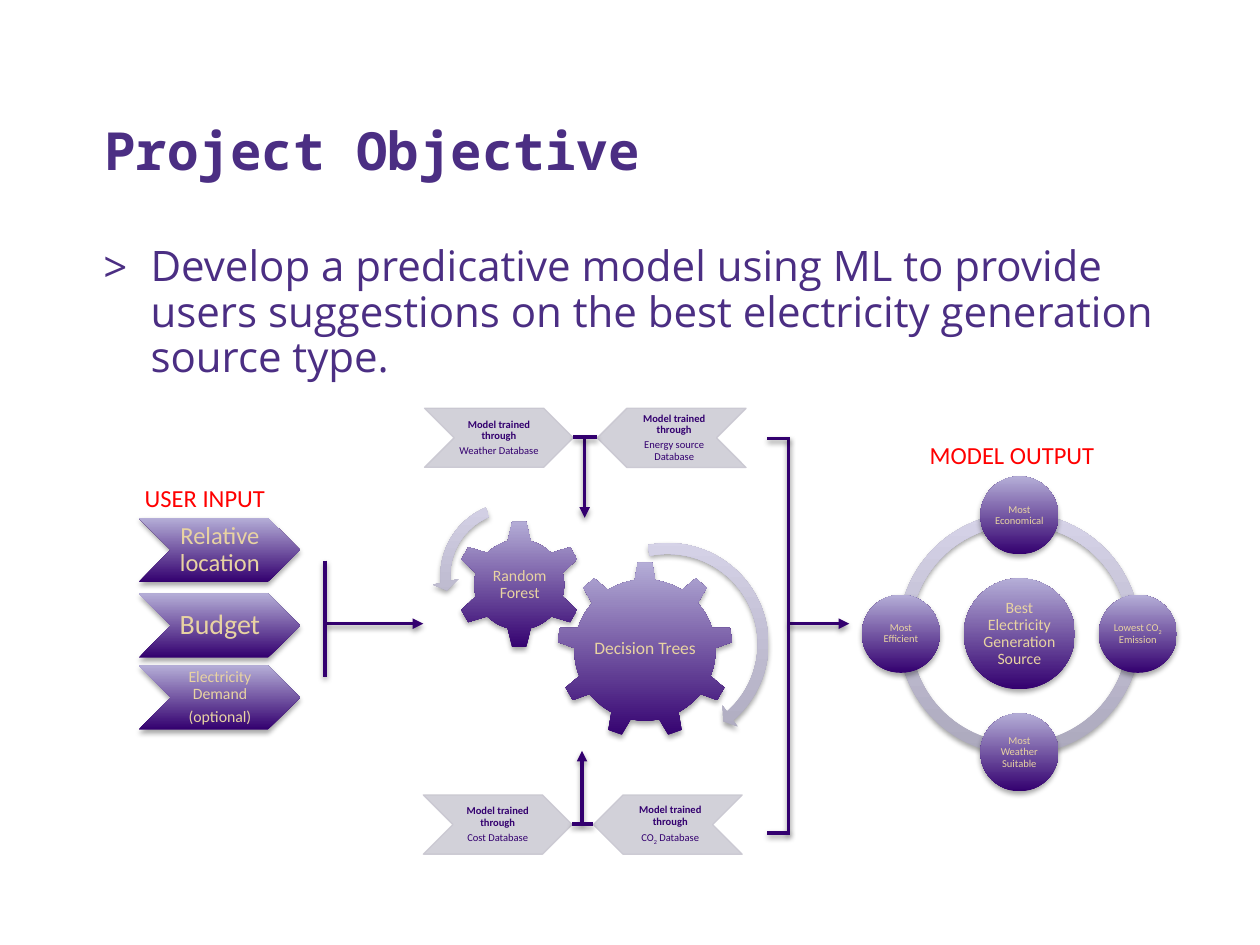
from dataclasses import dataclass
from typing import NamedTuple

from lxml.etree import SubElement
from pptx import Presentation
from pptx.dml.color import RGBColor
from pptx.enum.shapes import MSO_CONNECTOR, MSO_SHAPE
from pptx.enum.text import MSO_ANCHOR, MSO_AUTO_SIZE, PP_ALIGN
from pptx.oxml.ns import qn
from pptx.util import Pt


@dataclass(frozen=True)
class Theme:
    heading: str = "4B2E83"
    deep: str = "33006F"
    lilac: str = "B5AED7"
    gold: str = "E8D3A2"
    arc_dark: str = "ACA9BD"
    arc_light: str = "D6D3E8"
    database_fill: str = "CECCD5"
    database_line: str = "C9C7D1"
    caption: str = "FF0000"
    title_font: str = "Noto Sans Mono"
    body_font: str = "Open Sans"
    diagram_font: str = "Calibri"
    title_size: int = 30
    body_size: int = 24
    large: int = 16
    medium: int = 14
    normal: int = 10
    small: int = 9
    tiny: int = 6


class Box(NamedTuple):
    left: float
    top: float
    width: float
    height: float


class Piece(NamedTuple):
    text: str
    bold: bool = False
    subscript: bool = False


class Line(NamedTuple):
    x1: float
    y1: float
    x2: float
    y2: float
    arrow: bool = False


class InputStep(NamedTuple):
    top: float
    size: int
    paragraphs: list


class Database(NamedTuple):
    left: float
    top: float
    flipped: bool
    name: list


class Outcome(NamedTuple):
    column: int
    row: int
    pieces: list


THEME = Theme()
MAIN = (THEME.deep, THEME.lilac)
PALE = (THEME.arc_dark, THEME.arc_light)


def points(box: Box) -> list:
    return [Pt(value) for value in box]


def centred(x: float, y: float, side: float) -> Box:
    return Box(x - side / 2, y - side / 2, side, side)


def style_run(run, font: str, size: float, color: str, bold: bool = False) -> None:
    run.font.name = font
    run.font.size = Pt(size)
    run.font.bold = bold
    run.font.color.rgb = RGBColor.from_string(color)


def add_shadow(element, opacity: int) -> None:
    effects = SubElement(element.spPr, qn("a:effectLst"))
    shadow = SubElement(effects, qn("a:outerShdw"), blurRad=str(Pt(3.1)),
                        dist=str(Pt(1.8)), dir="5400000", rotWithShape="0")
    color = SubElement(shadow, qn("a:srgbClr"), val="000000")
    SubElement(color, qn("a:alpha"), val=str(opacity * 1000))


def add_gradient_shape(slide, kind, box: Box, colors: tuple, adjustments: tuple = ()) -> None:
    shape = slide.shapes.add_shape(kind, *points(box))
    for index, value in enumerate(adjustments):
        shape.adjustments[index] = value
    shape.fill.gradient()
    shape.fill.gradient_angle = 90
    for stop, color in zip(shape.fill.gradient_stops, colors):
        stop.color.rgb = RGBColor.from_string(color)
    shape.line.fill.background()
    add_shadow(shape.element, 35)


def add_label(slide, box: Box, paragraphs: list, size: int, color: str = THEME.gold) -> None:
    frame = slide.shapes.add_textbox(*points(box)).text_frame
    frame.word_wrap = True
    frame.vertical_anchor = MSO_ANCHOR.MIDDLE
    frame.margin_left = frame.margin_right = Pt(0.7)
    frame.margin_top = frame.margin_bottom = Pt(0.7)
    for index, pieces in enumerate(paragraphs):
        paragraph = frame.add_paragraph() if index else frame.paragraphs[0]
        paragraph.alignment = PP_ALIGN.CENTER
        paragraph.line_spacing = 0.9
        paragraph.space_after = Pt(0.35 * size)
        for piece in pieces:
            for part, text in enumerate(piece.text.split("\n")):
                if part:
                    paragraph.add_line_break()
                run = paragraph.add_run()
                run.text = text
                style_run(run, THEME.diagram_font, size, color, piece.bold)
                if piece.subscript:
                    run.font._element.set("baseline", "-25000")


def add_caption(slide, box: Box, text: str) -> None:
    frame = slide.shapes.add_textbox(*points(box)).text_frame
    frame.word_wrap = True
    run = frame.paragraphs[0].add_run()
    run.text = text
    style_run(run, THEME.diagram_font, THEME.medium, THEME.caption)


def add_line(slide, line: Line) -> None:
    connector = slide.shapes.add_connector(
        MSO_CONNECTOR.STRAIGHT, Pt(line.x1), Pt(line.y1), Pt(line.x2), Pt(line.y2))
    connector.line.color.rgb = RGBColor.from_string(THEME.deep)
    connector.line.width = Pt(2)
    if line.arrow:
        SubElement(connector.line._get_or_add_ln(), qn("a:tailEnd"), type="triangle")
    add_shadow(connector._element, 38)


def add_database(slide, database: Database) -> None:
    box = Box(database.left, database.top, 85, 33.8)
    shape = slide.shapes.add_shape(MSO_SHAPE.CHEVRON, *points(box))
    shape.rotation = 180 if database.flipped else 0
    shape.fill.solid()
    shape.fill.fore_color.rgb = RGBColor.from_string(THEME.database_fill)
    shape.line.color.rgb = RGBColor.from_string(THEME.database_line)
    shape.line.width = Pt(0.75)
    for color in shape.element.spPr.iter(qn("a:srgbClr")):
        SubElement(color, qn("a:alpha"), val="90000")
    shape.shadow.inherit = False
    offset, width = (19.4, 49) if database.flipped else (17, 51)
    add_label(slide, Box(box.left + offset, box.top, width, box.height),
              [[Piece("Model trained through", bold=True)], database.name],
              THEME.tiny, THEME.deep)


def add_heading(slide) -> None:
    # Title
    title = slide.shapes.title
    title.left, title.top, title.width, title.height = points(Box(52.5, 29.5, 644.5, 77.8))
    frame = title.text_frame
    frame.auto_size = MSO_AUTO_SIZE.NONE
    frame.vertical_anchor = MSO_ANCHOR.BOTTOM
    paragraph = frame.paragraphs[0]
    paragraph.alignment = PP_ALIGN.LEFT
    paragraph.line_spacing = 0.9
    run = paragraph.add_run()
    run.text = "Project Objective"
    style_run(run, THEME.title_font, THEME.title_size, THEME.heading, True)

    # Objective with its bullet
    frame = slide.shapes.add_textbox(*points(Box(52, 136.8, 645, 316))).text_frame
    frame.word_wrap = True
    paragraph = frame.paragraphs[0]
    paragraph.line_spacing = 0.9
    properties = paragraph._p.get_or_add_pPr()
    properties.set("marL", str(Pt(27)))
    properties.set("indent", str(Pt(-27)))
    SubElement(properties, qn("a:buFont"), typeface=THEME.body_font)
    SubElement(properties, qn("a:buChar"), char=">")
    run = paragraph.add_run()
    run.text = ("Develop a predicative model using ML to provide users suggestions "
                "on the best electricity generation source type.")
    style_run(run, THEME.body_font, THEME.body_size, THEME.heading)


def add_inputs(slide) -> None:
    steps = [
        InputStep(295.9, THEME.medium, [[Piece("Relative location")]]),
        InputStep(339.1, THEME.large, [[Piece("Budget")]]),
        InputStep(380.2, THEME.small, [[Piece("Electricity Demand")], [Piece("(optional)")]]),
    ]
    for step in steps:
        add_gradient_shape(slide, MSO_SHAPE.CHEVRON, Box(79.2, step.top, 92.2, 36.7), MAIN)
        add_label(slide, Box(98, step.top, 55.4, 36.7), step.paragraphs, step.size)


def add_gears(slide) -> None:
    add_gradient_shape(slide, MSO_SHAPE.GEAR_9, Box(318.2, 321.1, 100.8, 100.8), MAIN)
    add_label(slide, Box(338.4, 344.9, 60.5, 51.8), [[Piece("Decision Trees")]], THEME.normal)
    add_gradient_shape(slide, MSO_SHAPE.GEAR_6, Box(260, 297.4, 73.4, 73.4), MAIN)
    add_label(slide, Box(278.6, 316.1, 36.7, 36), [[Piece("Random\nForest")]], THEME.small)
    add_gradient_shape(slide, MSO_SHAPE.CIRCULAR_ARROW, Box(319.7, 306, 123.8, 123.8), PALE,
                       (0.05, 3.13, 29.5, 155.07, 0.06))
    add_gradient_shape(slide, MSO_SHAPE.LEFT_CIRCULAR_ARROW, Box(247, 282.2, 93.6, 93.6), PALE,
                       (0.06, 4.3, 104.89, 148.38, 0.08))


def add_outcomes(slide) -> None:
    x, y, orbit, quarter = 582.5, 362.2, 67.7, 54
    for start in (108, 54, 0, 162):
        add_gradient_shape(slide, MSO_SHAPE.BLOCK_ARC, centred(x, y, 138.2), PALE,
                           (start, (start + quarter) % (4 * quarter), 0.05))
    add_gradient_shape(slide, MSO_SHAPE.OVAL, centred(x, y, 63.4), MAIN)
    add_label(slide, centred(x, y, 45.4),
              [[Piece("Best Electricity Generation Source")]], THEME.small)
    outcomes = [
        Outcome(0, -1, [Piece("Most Economical")]),
        Outcome(1, 0, [Piece("Lowest CO"), Piece("2", subscript=True), Piece(" Emission")]),
        Outcome(0, 1, [Piece("Most Weather Suitable")]),
        Outcome(-1, 0, [Piece("Most Efficient")]),
    ]
    for outcome in outcomes:
        center = x + outcome.column * orbit, y + outcome.row * orbit
        add_gradient_shape(slide, MSO_SHAPE.OVAL, centred(*center, 44.6), MAIN)
        add_label(slide, centred(*center, 31.7), [outcome.pieces], THEME.tiny)


def add_databases(slide) -> None:
    for database in (
        Database(241.9, 454.3, False, [Piece("Cost Database")]),
        Database(339.1, 454.3, True,
                 [Piece("CO"), Piece("2", subscript=True), Piece(" Database")]),
        Database(242.6, 233.3, False, [Piece("Weather Database")]),
        Database(341.3, 233.3, True, [Piece("Energy source Database")]),
    ):
        add_database(slide, database)


def add_links(slide) -> None:
    for line in (
        Line(186.5, 356.4, 241.9, 356.4, True),
        Line(450.7, 356.4, 485.3, 356.4, True),
        Line(334.1, 249.8, 334.1, 295.9, True),
        Line(332.6, 470.9, 332.6, 429.1, True),
        Line(327.6, 249.8, 341.3, 249.8),
        Line(326.9, 470.9, 339.1, 470.9),
        Line(185.8, 320.4, 185.8, 386.6),
        Line(450.7, 249.8, 450.7, 475.9),
        Line(438.5, 250.6, 451.4, 250.6),
        Line(438.5, 475.9, 451.4, 475.9),
    ):
        add_line(slide, line)


def main() -> None:
    presentation = Presentation()
    presentation.slide_width, presentation.slide_height = Pt(720), Pt(540)
    slide = presentation.slides.add_slide(presentation.slide_layouts[5])
    for add_part in (add_heading, add_inputs, add_gears, add_outcomes,
                     add_databases, add_links):
        add_part(slide)
    add_caption(slide, Box(75.6, 272.2, 86.4, 24.5), "USER INPUT")
    add_caption(slide, Box(524.2, 247.7, 117.4, 24.5), "MODEL OUTPUT")
    presentation.save("out.pptx")


if __name__ == "__main__":
    main()
